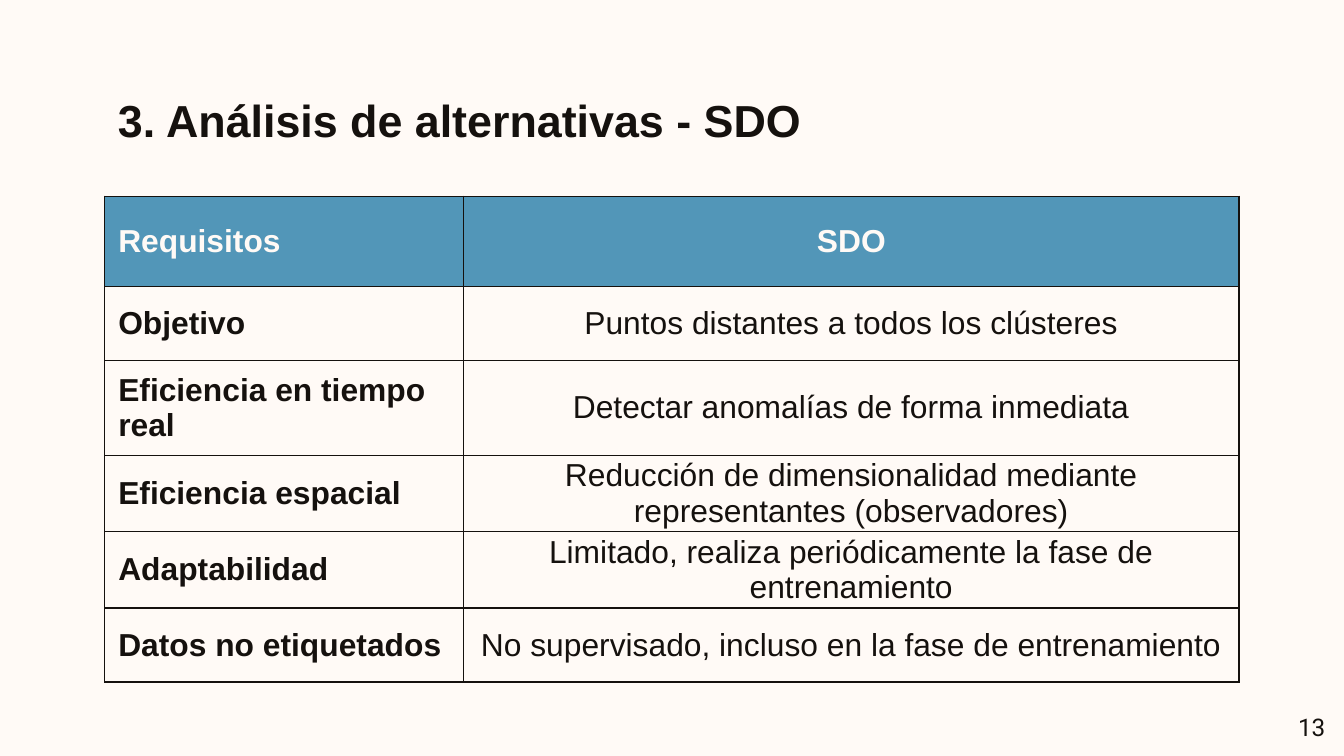
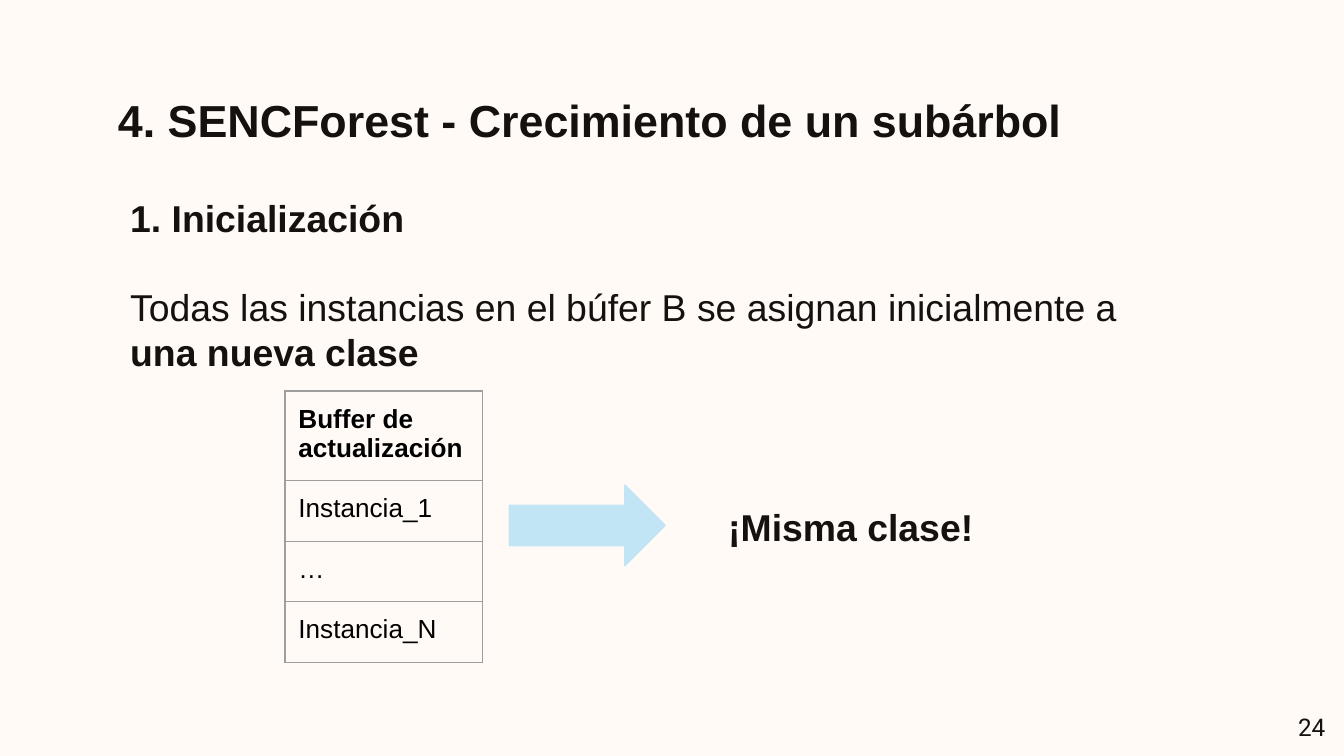
from lxml import etree
from pptx import Presentation
from pptx.dml.color import RGBColor
from pptx.enum.shapes import MSO_SHAPE
from pptx.enum.text import MSO_ANCHOR, PP_ALIGN
from pptx.oxml.ns import qn
from pptx.util import Inches, Pt

RIGHT_ARROW = MSO_SHAPE.RIGHT_ARROW
TOP, MIDDLE = MSO_ANCHOR.TOP, MSO_ANCHOR.MIDDLE
LEFT, CENTER, RIGHT = PP_ALIGN.LEFT, PP_ALIGN.CENTER, PP_ALIGN.RIGHT

COLORS = {
    "cream": "FFFAF6",
    "ink": "15110E",
    "header": "5296B8",
    "arrow": "C2E5F5",
    "grid": "9E9E9E",
    "black": "000000",
}
SLIDE_WIDTH = 10
SLIDE_HEIGHT = SLIDE_WIDTH * 9 / 16
TITLE_BOX = (0.78, 0.59, 8.44, 0.6)
PAGE_NUMBER_BOX = (9.36, 5.19, 0.6, 0.43)
PADDING = (0.1, 0.1, 0.1, 0.1)

REQUIREMENTS = [
    ("Requisitos", "SDO"),
    ("Objetivo", "Puntos distantes a todos los clústeres"),
    ("Eficiencia en tiempo real", "Detectar anomalías de forma inmediata"),
    ("Eficiencia espacial", "Reducción de dimensionalidad mediante representantes (observadores)"),
    ("Adaptabilidad", "Limitado, realiza periódicamente la fase de entrenamiento"),
    ("Datos no etiquetados", "No supervisado, incluso en la fase de entrenamiento"),
]
BUFFER_ROWS = ["Buffer de actualización", "Instancia_1", "…", "Instancia_N"]


def rgb(color):
    """Return the named palette colour."""
    return RGBColor.from_string(COLORS[color])


def style_font(font, size, color="ink", bold=False, face="Arial"):
    """Set the look of a run font."""
    font.name, font.size, font.bold = face, Pt(size), bold
    font.color.rgb = rgb(color)


def set_margins(target, margins):
    """Set left, top, right and bottom margins of a frame or cell."""
    target.margin_left, target.margin_top, target.margin_right, target.margin_bottom = map(Inches, margins)


def add_text(slide, box, text, size, bold=False, face="Arial", align=LEFT, anchor=TOP):
    """Add a wrapped text box with one styled paragraph and return its frame."""
    frame = slide.shapes.add_textbox(*map(Inches, box)).text_frame
    frame.word_wrap = True
    frame.vertical_anchor = anchor
    set_margins(frame, PADDING)
    frame.text = text
    paragraph = frame.paragraphs[0]
    paragraph.alignment, paragraph.line_spacing = align, 1.0
    style_font(paragraph.runs[0].font, size, bold=bold, face=face)
    return frame


def add_page(deck, title, number):
    """Add a slide with the shared background, title and page number."""
    slide = deck.slides.add_slide(deck.slide_layouts[6])
    slide.background.fill.solid()
    slide.background.fill.fore_color.rgb = rgb("cream")
    add_text(slide, TITLE_BOX, title, 24, bold=True)
    add_text(slide, PAGE_NUMBER_BOX, str(number), 13, face="Roboto", align=RIGHT, anchor=MIDDLE)
    return slide


def add_grid(slide, left, top, widths, heights):
    """Add an unstyled table with the given column widths and row heights."""
    table = slide.shapes.add_table(
        len(heights), len(widths), Inches(left), Inches(top), Inches(sum(widths)), Inches(sum(heights))
    ).table
    table.first_row = table.horz_banding = False
    for column, width in zip(table.columns, widths):
        column.width = Inches(width)
    for row, height in zip(table.rows, heights):
        row.height = Inches(height)
    return table


def fill_cell(cell, text, size, color, bold, border, margins, align=LEFT, anchor=TOP, fill=None):
    """Write a table cell and set its fill and borders."""
    cell.text_frame.text = text
    cell.vertical_anchor = anchor
    set_margins(cell, margins)
    paragraph = cell.text_frame.paragraphs[0]
    paragraph.alignment, paragraph.line_spacing = align, 1.0
    style_font(paragraph.runs[0].font, size, color, bold)
    properties = cell._tc.get_or_add_tcPr()
    for side in ("a:lnL", "a:lnR", "a:lnT", "a:lnB"):
        line = etree.SubElement(properties, qn(side), w=str(Pt(0.75)))
        solid = etree.SubElement(line, qn("a:solidFill"))
        etree.SubElement(solid, qn("a:srgbClr"), val=COLORS[border])
    if fill:
        cell.fill.solid()
        cell.fill.fore_color.rgb = rgb(fill)
    else:
        cell.fill.background()


def add_requirements_table(slide, box):
    """Add the requirements table, its sizes shared out over the box."""
    left, top, width, height = box
    label_width, header_height, tall_height = 2.67, 0.67, 0.71
    plain_height = (height - header_height - tall_height) / 4
    heights = [header_height, plain_height, tall_height] + [plain_height] * 3
    table = add_grid(slide, left, top, [label_width, width - label_width], heights)
    for row, texts in enumerate(REQUIREMENTS):
        header = row == 0
        for column, text in enumerate(texts):
            label = column == 0
            side, end = (0.1 if header or label else 0), (0.07 if header else 0)
            fill_cell(
                table.cell(row, column), text, 17, "cream" if header else "ink", header or label, "ink",
                (side, end, side, end), LEFT if label else CENTER, MIDDLE, "header" if header else None,
            )


def add_explanation(slide, box):
    """Add the step heading and its sentence with a bold ending."""
    frame = add_text(slide, box, "1. Inicialización", 20, bold=True)
    sentence = frame.add_paragraph()
    sentence.line_spacing, sentence.space_before = 1.0, Pt(24)
    for text, bold in (
        ("Todas las instancias en el búfer B se asignan inicialmente a ", False),
        ("una nueva clase", True),
    ):
        run = sentence.add_run()
        run.text = text
        style_font(run.font, 20, bold=bold)


def add_buffer_diagram(slide, box):
    """Add the update buffer, the arrow and the resulting class."""
    left, top, width, height = box
    buffer = add_grid(slide, left, top, [1.47], [height / len(BUFFER_ROWS)] * len(BUFFER_ROWS))
    for row, text in enumerate(BUFFER_ROWS):
        fill_cell(buffer.cell(row, 0), text, 14, "black", row == 0, "grid", PADDING)

    arrow = slide.shapes.add_shape(
        RIGHT_ARROW, Inches(left + 1.67), Inches(top + 0.7), Inches(1.16), Inches(0.6)
    )
    arrow.shadow.inherit = False
    arrow.fill.solid()
    arrow.fill.fore_color.rgb = arrow.line.color.rgb = rgb("arrow")
    arrow.line.width = Pt(0.75)

    result_width = 2.23
    result_box = (left + width - result_width, top + 0.74, result_width, 0.6)
    add_text(slide, result_box, "¡Misma clase!", 20, bold=True)


def main():
    """Build and save both slides."""
    deck = Presentation()
    deck.slide_width, deck.slide_height = Inches(SLIDE_WIDTH), Inches(SLIDE_HEIGHT)

    alternatives = add_page(deck, "3. Análisis de alternativas - SDO", 13)
    add_requirements_table(alternatives, (0.78, 1.46, 8.44, 3.58))

    growth = add_page(deck, "4. SENCForest - Crecimiento de un subárbol", 24)
    add_explanation(growth, (0.87, 1.35, 8.08, 3.69))
    add_buffer_diagram(growth, (2.12, 2.91, 5.43, 1.8))

    deck.save("out.pptx")


if __name__ == "__main__":
    main()
